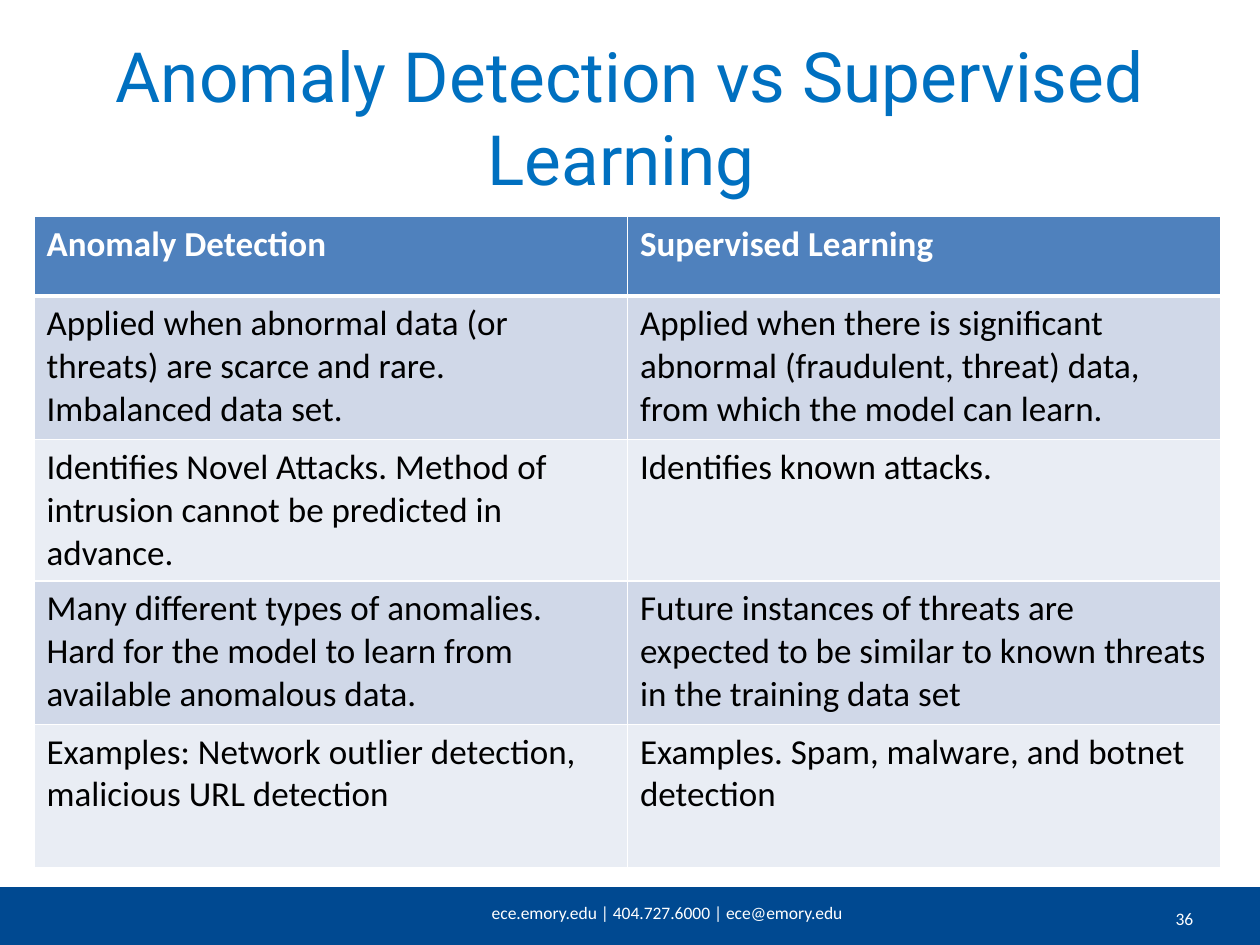
from lxml import etree
from pptx import Presentation
from pptx import util as u
from pptx.dml.color import RGBColor
from pptx.enum import shapes, text
from pptx.oxml.ns import qn

COLORS = {
    "white": "FFFFFF", "black": "000000", "title": "0070C0", "footer": "004991",
    "header": "4F81BD", "band_dark": "D0D8E8", "band_light": "E9EDF4",
}
SLIDE_W, SLIDE_H = 10, 7.5
ROW_HEIGHTS = [0.63, 1.14, 1.12, 1.14, 1.14]
COMPARISON = [
    ("Anomaly Detection", "Supervised Learning"),
    ("Applied when abnormal data (or threats) are scarce and rare. Imbalanced data set.",
     "Applied when there is significant abnormal (fraudulent, threat) data, "
     "from which the model can learn."),
    ("Identifies Novel Attacks. Method of intrusion cannot be predicted in advance.",
     "Identifies known attacks."),
    ("Many different types of anomalies. Hard for the model to learn from "
     "available anomalous data.",
     "Future instances of threats are expected to be similar to known threats "
     "in the training data set"),
    ("Examples: Network outlier detection, malicious URL detection",
     "Examples. Spam, malware, and botnet detection"),
]


def rgb(name):
    return RGBColor.from_string(COLORS[name])


def inches(box):
    return [u.Inches(v) for v in box]


def style_text(tf, size, color, font="Calibri", bold=False):
    for p in tf.paragraphs:
        for r in p.runs:
            r.font.size = u.Pt(size)
            r.font.name = font
            r.font.bold = bold
            r.font.color.rgb = rgb(color)


def add_label(slide, box, words, size, color, font="Calibri",
              anchor=text.MSO_ANCHOR.TOP):
    """Add a centred, wrapping text box."""
    tf = slide.shapes.add_textbox(*inches(box)).text_frame
    tf.word_wrap = True
    tf.vertical_anchor = anchor
    tf.text = words
    tf.paragraphs[0].alignment = text.PP_ALIGN.CENTER
    style_text(tf, size, color, font)


def add_title(slide, box):
    add_label(slide, box, "Anomaly Detection vs Supervised Learning ", 39.6,
              "title", "Roboto", text.MSO_ANCHOR.MIDDLE)


def set_borders(cell, widths):
    """Draw white cell borders; widths maps L, R, T, B to points."""
    tc_pr = cell._tc.get_or_add_tcPr()
    for side, width in widths.items():
        ln = etree.SubElement(tc_pr, qn(f"a:ln{side}"), w=str(u.Pt(width)))
        fill = etree.SubElement(ln, qn("a:solidFill"))
        etree.SubElement(fill, qn("a:srgbClr"), val=COLORS["white"])


def add_comparison(slide, box, rows):
    table = slide.shapes.add_table(len(rows), len(rows[0]), *inches(box)).table
    for col in table.columns:
        col.width = u.Inches(box[2] / len(rows[0]))
    for i, row in enumerate(rows):
        table.rows[i].height = u.Inches(ROW_HEIGHTS[i])
        is_header = i == 0
        band = "header" if is_header else "band_dark" if i % 2 else "band_light"
        for j, words in enumerate(row):
            cell = table.cell(i, j)
            set_borders(cell, {"L": 1, "R": 1, "T": 3 if i == 1 else 1,
                               "B": 3 if is_header else 1})
            cell.fill.solid()
            cell.fill.fore_color.rgb = rgb(band)
            cell.text_frame.text = words
            style_text(cell.text_frame, 20, "white" if is_header else "black",
                       bold=is_header)


def add_footer(slide, box):
    left, top, width, _ = box
    bar = slide.shapes.add_shape(shapes.MSO_SHAPE.RECTANGLE, *inches(box))
    bar.shadow.inherit = False
    bar.fill.solid()
    bar.fill.fore_color.rgb = rgb("footer")
    bar.line.fill.background()
    add_label(slide, (left + width / 3, top + 0.07, 3.92, 0.28),
              "ece.emory.edu | 404.727.6000 | ece@emory.edu", 10, "white")
    add_label(slide, (left + width * 0.89, top + 0.12, width / 10, 0.35),
              "36", 10, "white")


def main():
    prs = Presentation()
    prs.slide_width, prs.slide_height = inches((SLIDE_W, SLIDE_H))
    slide = prs.slides.add_slide(prs.slide_layouts[6])
    add_footer(slide, (0, 7.04, SLIDE_W, SLIDE_H - 7.04))
    add_title(slide, (0.5, 0.3, SLIDE_W - 1, 1.25))
    add_comparison(slide, (0.27, 1.72, 9.42, sum(ROW_HEIGHTS)), COMPARISON)
    prs.save("out.pptx")


if __name__ == "__main__":
    main()
